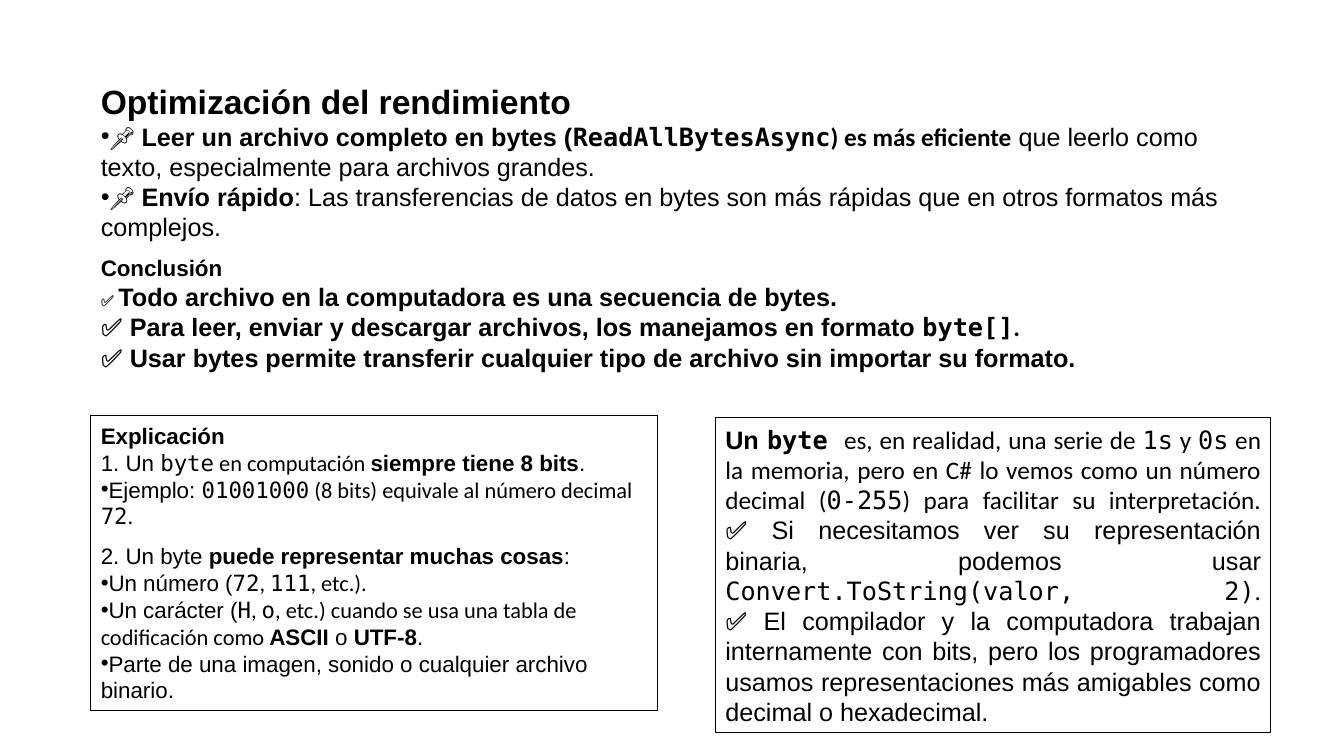
from dataclasses import dataclass

from lxml.etree import SubElement
from pptx import Presentation
from pptx.dml.color import RGBColor
from pptx.enum.shapes import MSO_SHAPE
from pptx.enum.text import MSO_ANCHOR, MSO_AUTO_SIZE, PP_ALIGN
from pptx.oxml.ns import qn
from pptx.util import Cm, Pt


@dataclass(frozen=True)
class Theme:
    ink: RGBColor = RGBColor(0, 0, 0)
    title: int = 24
    body: int = 18
    detail: int = 16
    small_mark: int = 11
    section_gap: float = 9.2
    frame: float = 0.75


THEME = Theme()

# Each style is a font and whether it is bold
PLAIN, BOLD = ("Arial", False), ("Arial", True)
CODE, CODE_BOLD = ("DejaVu Sans Mono", False), ("DejaVu Sans Mono", True)
NOTE, NOTE_BOLD = ("Calibri", False), ("Calibri", True)


def add_bullet(paragraph):
    properties = paragraph._p.get_or_add_pPr()
    properties.set("marL", "0")
    properties.set("indent", "0")
    SubElement(properties, qn("a:buFont")).set("typeface", "Arial")
    SubElement(properties, qn("a:buChar")).set("char", "•")


def write(shape, paragraphs, align=PP_ALIGN.LEFT):
    """Fill a shape with (size, kind, pieces); a piece is text, style and an optional size."""
    frame = shape.text_frame
    frame.word_wrap = True
    frame.auto_size = MSO_AUTO_SIZE.SHAPE_TO_FIT_TEXT
    frame.vertical_anchor = MSO_ANCHOR.MIDDLE
    for index, (size, kind, pieces) in enumerate(paragraphs):
        paragraph = frame.add_paragraph() if index else frame.paragraphs[0]
        paragraph.alignment = align
        if kind == "section":
            paragraph.space_before = Pt(THEME.section_gap)
        if kind == "bullet":
            add_bullet(paragraph)
        for text, (font, bold), *own_size in pieces:
            run = paragraph.add_run()
            run.text = text.rstrip("\n")
            run.font.name = font
            run.font.bold = bold
            run.font.size = Pt(own_size[0] if own_size else size)
            run.font.color.rgb = THEME.ink
            if text.endswith("\n"):
                paragraph.add_line_break()


performance = [
    (THEME.title, "text", [("Optimización del rendimiento", BOLD)]),
    (THEME.body, "bullet", [
        ("📌 ", PLAIN), ("Leer un archivo completo en bytes (", BOLD),
        ("ReadAllBytesAsync", CODE_BOLD), (") es más eficiente", NOTE_BOLD),
        (" que leerlo como texto, especialmente para archivos grandes.", PLAIN)]),
    (THEME.body, "bullet", [
        ("📌 ", PLAIN), ("Envío rápido", BOLD),
        (": Las transferencias de datos en bytes son más rápidas que en otros "
         "formatos más complejos.", PLAIN)]),
]

conclusion = [
    (THEME.detail, "text", [("Conclusión", BOLD)]),
    (THEME.body, "text", [
        ("✅ ", PLAIN, THEME.small_mark),
        ("Todo archivo en la computadora es una secuencia de bytes.\n", BOLD),
        ("✅ ", PLAIN),
        ("Para leer, enviar y descargar archivos, los manejamos en formato ", BOLD),
        ("byte[]", CODE_BOLD), (".\n", NOTE_BOLD),
        ("✅ ", PLAIN),
        ("Usar bytes permite transferir cualquier tipo de archivo sin importar "
         "su formato.", BOLD)]),
]

explanation = [
    (THEME.detail, "text", [("Explicación", BOLD)]),
    (THEME.detail, "text", [
        ("1. Un ", PLAIN), ("byte", CODE), (" en computación ", NOTE),
        ("siempre tiene 8 bits", BOLD), (".", PLAIN)]),
    (THEME.detail, "bullet", [
        ("Ejemplo: ", PLAIN), ("01001000", CODE),
        (" (8 bits) equivale al número decimal ", NOTE), ("72", CODE), (".", NOTE)]),
    (THEME.detail, "section", [
        ("2. Un byte ", PLAIN), ("puede representar muchas cosas", BOLD), (":", PLAIN)]),
    (THEME.detail, "bullet", [
        ("Un número (", PLAIN), ("72", CODE), (", ", NOTE), ("111", CODE),
        (", etc.).", NOTE)]),
    (THEME.detail, "bullet", [
        ("Un carácter (", PLAIN), ("H", CODE), (", ", NOTE), ("o", CODE),
        (", etc.) cuando se usa una tabla de codificación como ", NOTE),
        ("ASCII", BOLD), (" o ", PLAIN), ("UTF-8", BOLD), (".", PLAIN)]),
    (THEME.detail, "bullet", [
        ("Parte de una imagen, sonido o cualquier archivo binario.", PLAIN)]),
]

byte_meaning = [
    (THEME.body, "text", [
        ("Un ", BOLD), ("byte ", CODE_BOLD),
        ("es, en realidad, una serie de ", NOTE), ("1s", CODE), (" y ", NOTE),
        ("0s", CODE),
        (" en la memoria, pero en C# lo vemos como un número decimal (", NOTE),
        ("0-255", CODE), (") para facilitar su interpretación.\n", NOTE),
        ("✅ Si necesitamos ver su representación binaria, podemos usar ", PLAIN),
        ("Convert.ToString(valor, 2)", CODE), (".\n", NOTE),
        ("✅ El compilador y la computadora trabajan internamente con bits, pero "
         "los programadores usamos representaciones más amigables como decimal "
         "o hexadecimal.", PLAIN)]),
]

deck = Presentation()
deck.slide_width, deck.slide_height = Cm(33.87), Cm(19.05)
slide = deck.slides.add_slide(deck.slide_layouts[6])

LEFT, WIDTH = Cm(2.29), Cm(29.18)
for top, height, paragraphs in [
    (1.88, 4.37, performance),
    (6.27, 3.25, conclusion),
]:
    write(slide.shapes.add_textbox(LEFT, Cm(top), WIDTH, Cm(height)), paragraphs)

for left, top, width, height, paragraphs, align in [
    (2.29, 10.46, 14.27, 7.44, explanation, PP_ALIGN.LEFT),
    (18.03, 10.52, 14, 7.95, byte_meaning, PP_ALIGN.JUSTIFY),
]:
    panel = slide.shapes.add_shape(
        MSO_SHAPE.RECTANGLE, Cm(left), Cm(top), Cm(width), Cm(height))
    panel.shadow.inherit = False
    panel.fill.background()
    panel.line.color.rgb = THEME.ink
    panel.line.width = Pt(THEME.frame)
    write(panel, paragraphs, align)

deck.save("out.pptx")
